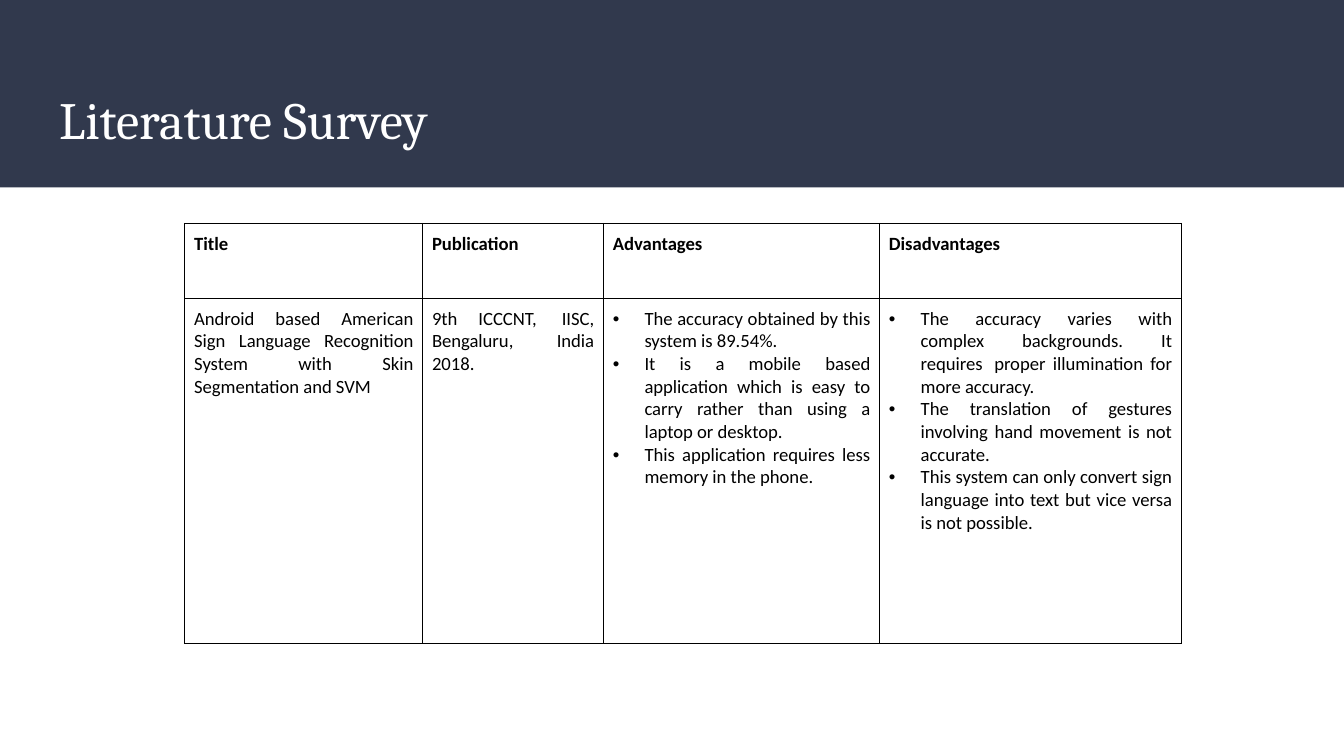
import lxml.etree
import pptx
import pptx.dml.color
import pptx.enum.shapes
import pptx.enum.text
import pptx.oxml.ns
import pptx.util

NAVY = pptx.dml.color.RGBColor(0x31, 0x39, 0x4D)
WHITE = pptx.dml.color.RGBColor(0xFF, 0xFF, 0xFF)
BLACK = pptx.dml.color.RGBColor(0x00, 0x00, 0x00)

HARD_SPACE = chr(160)
HEADINGS = ["Title", "Publication", "Advantages", "Disadvantages"]
PAPER = [
    ["Android based American Sign Language Recognition System with Skin Segmentation and SVM"],
    [f"9th ICCCNT,{HARD_SPACE} IISC, Bengaluru, India 2018."],
    [
        f"The accuracy obtained by this system is 89.54%.{HARD_SPACE}",
        "It is a mobile based application which is easy to carry rather than using a laptop or desktop.",
        "This application requires less memory in the phone.",
    ],
    [
        "The accuracy varies with complex backgrounds. "
        f"It requires{HARD_SPACE} proper illumination for more accuracy.",
        "The translation of gestures involving hand movement is not accurate.",
        "This system can only convert sign language into text but vice versa is not possible.",
    ],
]


class SurveySlide:
    title_font = "Cambria"
    body_font = "Calibri"
    bullet_font = "Arial"
    title_size = pptx.util.Pt(28)
    body_size = pptx.util.Pt(10)
    border_width = pptx.util.Pt(0.6)
    title_inset = pptx.util.Inches(0.1)
    cell_inset = pptx.util.Inches(0.07)
    bullet_indent = pptx.util.Pt(17)

    def __init__(self, presentation):
        self.width = presentation.slide_width
        self.height = presentation.slide_height
        self.slide = presentation.slides.add_slide(presentation.slide_layouts[5])

    def across(self, percent):
        return round(self.width * percent / 100)

    def down(self, percent):
        return round(self.height * percent / 100)

    def format_font(self, paragraph, name, size, color, bold=False):
        paragraph.font.name = name
        paragraph.font.size = size
        paragraph.font.bold = bold
        paragraph.font.color.rgb = color

    def add_band(self, height):
        band = self.slide.shapes.add_shape(
            pptx.enum.shapes.MSO_SHAPE.RECTANGLE, 0, 0, self.width, self.down(height))
        band.shadow.inherit = False
        band.fill.solid()
        band.fill.fore_color.rgb = NAVY
        band.line.fill.background()
        self.slide.shapes._spTree.insert(2, band._element)

    def set_title(self, text, left, top, width, height):
        title = self.slide.shapes.title
        title.left, title.top = self.across(left), self.down(top)
        title.width, title.height = self.across(width), self.down(height)
        frame = title.text_frame
        frame.text = text
        frame.word_wrap = True
        frame.auto_size = pptx.enum.text.MSO_AUTO_SIZE.NONE
        frame.vertical_anchor = pptx.enum.text.MSO_ANCHOR.MIDDLE
        frame.margin_left = frame.margin_right = self.title_inset
        frame.margin_top = frame.margin_bottom = self.title_inset
        paragraph = frame.paragraphs[0]
        paragraph.alignment = pptx.enum.text.PP_ALIGN.LEFT
        self.format_font(paragraph, self.title_font, self.title_size, WHITE)

    def add_bullet(self, paragraph):
        properties = paragraph._p.get_or_add_pPr()
        properties.set("marL", str(self.bullet_indent))
        properties.set("indent", str(-self.bullet_indent))
        color = lxml.etree.SubElement(properties, pptx.oxml.ns.qn("a:buClr"))
        lxml.etree.SubElement(color, pptx.oxml.ns.qn("a:srgbClr"), val=str(BLACK))
        lxml.etree.SubElement(
            properties, pptx.oxml.ns.qn("a:buFont"), typeface=self.bullet_font)
        lxml.etree.SubElement(properties, pptx.oxml.ns.qn("a:buChar"), char="•")

    def add_borders(self, cell):
        properties = cell._tc.get_or_add_tcPr()
        for side in ("a:lnL", "a:lnR", "a:lnT", "a:lnB"):
            line = lxml.etree.SubElement(
                properties, pptx.oxml.ns.qn(side), w=str(self.border_width))
            fill = lxml.etree.SubElement(line, pptx.oxml.ns.qn("a:solidFill"))
            lxml.etree.SubElement(fill, pptx.oxml.ns.qn("a:srgbClr"), val=str(BLACK))

    def fill_cell(self, cell, lines, bold):
        self.add_borders(cell)
        cell.fill.background()
        cell.margin_left = cell.margin_right = self.cell_inset
        cell.margin_top = cell.margin_bottom = self.cell_inset
        cell.text = "\n".join(lines)
        for paragraph in cell.text_frame.paragraphs:
            paragraph.alignment = pptx.enum.text.PP_ALIGN.JUSTIFY
            if len(lines) > 1:
                self.add_bullet(paragraph)
            self.format_font(paragraph, self.body_font, self.body_size, BLACK, bold)

    def add_table(self, rows, left, top, column_widths, row_heights):
        table = self.slide.shapes.add_table(
            len(rows), len(column_widths), self.across(left), self.down(top),
            self.across(sum(column_widths)), self.down(sum(row_heights))).table
        table.horz_banding = False
        for column, width in zip(table.columns, column_widths):
            column.width = self.across(width)
        for row_index, (row, height) in enumerate(zip(rows, row_heights)):
            table.rows[row_index].height = self.down(height)
            for column_index, lines in enumerate(row):
                self.fill_cell(table.cell(row_index, column_index), lines, row_index == 0)


def main():
    presentation = pptx.Presentation()
    presentation.slide_width = pptx.util.Inches(10)
    presentation.slide_height = presentation.slide_width * 9 // 16
    survey = SurveySlide(presentation)
    survey.add_band(24.8)
    survey.set_title("Literature Survey", 3.4, 9.7, 93.2, 12.1)
    survey.add_table(
        [[[heading] for heading in HEADINGS], PAPER],
        13.75, 29.55, [17.7, 13.45, 20.55, 22.45], [9.9, 45.7])
    presentation.save("out.pptx")


if __name__ == "__main__":
    main()
